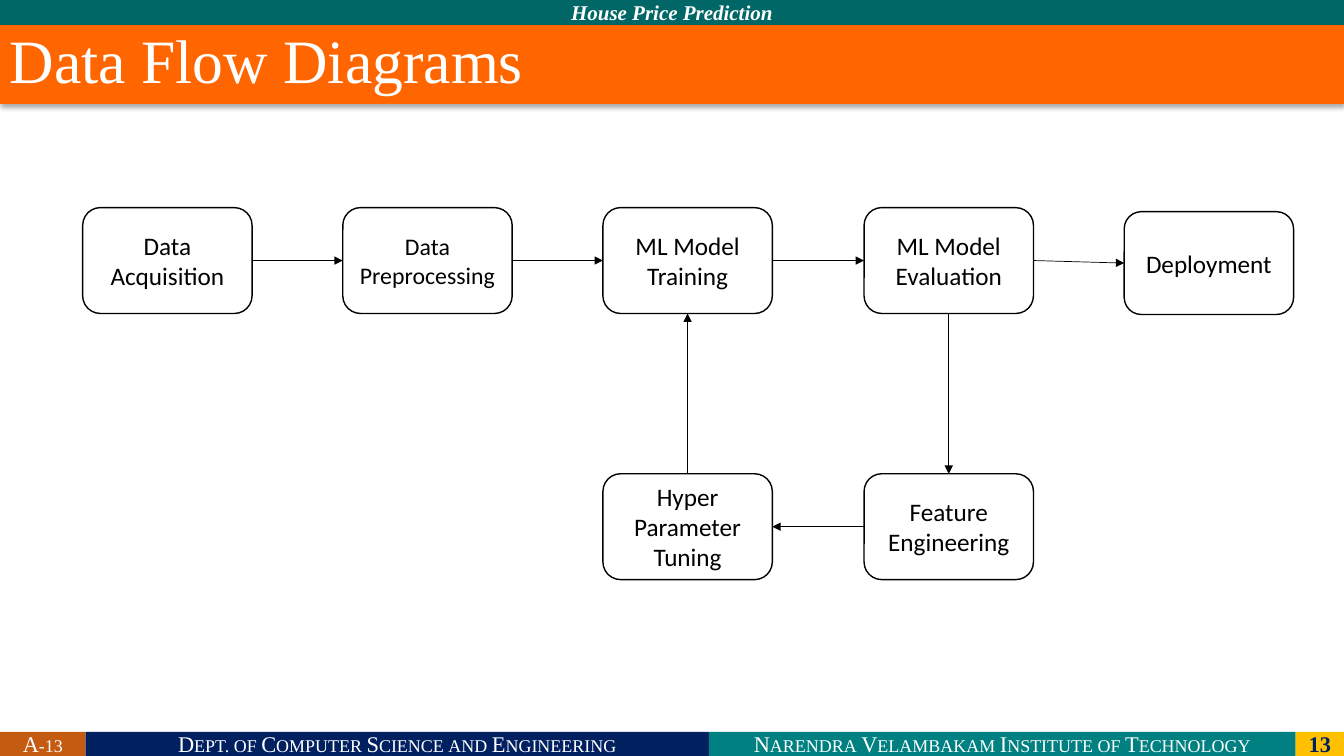
from lxml import etree
from pptx import Presentation
from pptx import util as u
from pptx.dml.color import RGBColor
from pptx.enum import shapes, text
from pptx.oxml import ns

WHITE = RGBColor(0xFF, 0xFF, 0xFF)
BLACK = RGBColor(0x00, 0x00, 0x00)
NAVY = RGBColor(0x00, 0x20, 0x60)
TEAL = RGBColor(0x00, 0x80, 0x80)
PINE = RGBColor(0x00, 0x66, 0x66)
GOLD = RGBColor(0xFF, 0xC0, 0x00)
RUST = RGBColor(0xC5, 0x5A, 0x11)
ORANGE = RGBColor(0xFF, 0x66, 0x00)

PX = 9144
WIDE, HIGH = 1333, 750
TOP, LEFT, BOTTOM, RIGHT = range(4)
SERIF, SANS = "Times New Roman", "Calibri"

BARS = [
    ("A-13", 0, 85, RUST),
    ("Dept. of Computer Science and Engineering", 85, 618, NAVY),
    ("Narendra Velambakam Institute of Technology", 703, 582, TEAL),
]
NODES = [
    ("Data Acquisition", 0, 206, 105, 18),
    ("Data Preprocessing", 1, 206, 105, 17),
    ("ML Model Training", 2, 206, 105, 18),
    ("ML Model Evaluation", 3, 206, 105, 18),
    ("Deployment", 4, 210, 102, 18),
    ("Hyper Parameter Tuning", 2, 470, 105, 18),
    ("Feature Engineering", 3, 470, 105, 18),
]
LINKS = [(i, RIGHT, i + 1, LEFT) for i in range(4)] + [
    (3, BOTTOM, 6, TOP),
    (6, LEFT, 5, RIGHT),
    (5, TOP, 2, BOTTOM),
]


class Deck:
    """Holds the style and the current slide."""

    def __init__(self):
        self.prs = Presentation()
        self.prs.slide_width = u.Emu(WIDE * PX)
        self.prs.slide_height = u.Emu(HIGH * PX)
        self.slide = self.prs.slides.add_slide(self.prs.slide_layouts[6])

    def shape(self, kind, box, fill, words, size, face, color):
        item = self.slide.shapes.add_shape(kind, *[u.Emu(n * PX) for n in box])
        item.shadow.inherit = False
        item.fill.solid()
        item.fill.fore_color.rgb = fill
        item.line.fill.background()
        frame = item.text_frame
        frame.text = words
        frame.word_wrap = True
        frame.vertical_anchor = text.MSO_ANCHOR.MIDDLE
        para = frame.paragraphs[0]
        para.alignment = text.PP_ALIGN.CENTER
        font = para.runs[0].font
        font.name = face
        font.size = u.Pt(size)
        font.color.rgb = color
        return item

    def bar(self, words, box, fill, size=16, color=WHITE, bold=False, slant=False, caps=False):
        item = self.shape(shapes.MSO_SHAPE.RECTANGLE, box, fill, words, size, SERIF, color)
        run = item.text_frame.paragraphs[0].runs[0]
        run.font.bold = bold
        run.font.italic = slant
        if caps:
            run.font._element.set("cap", "small")
        return item

    def title(self, words, box):
        item = self.bar(words, box, ORANGE, 44)
        item.text_frame.vertical_anchor = text.MSO_ANCHOR.TOP
        para = item.text_frame.paragraphs[0]
        para.alignment = text.PP_ALIGN.LEFT
        para.line_spacing = 0.9
        glow = item._element.spPr.find(ns.qn("a:effectLst"))
        shade = etree.SubElement(glow, ns.qn("a:outerShdw"), blurRad=str(u.Pt(3.5)),
                                 dist=str(u.Pt(2.2)), dir="5400000", rotWithShape="0")
        tint = etree.SubElement(shade, ns.qn("a:srgbClr"), val=str(BLACK))
        etree.SubElement(tint, ns.qn("a:alpha"), val="32000")

    def node(self, words, col, top, high, size):
        box = (82 + round(258.25 * col), top, 168, high)
        item = self.shape(shapes.MSO_SHAPE.ROUNDED_RECTANGLE, box, WHITE, words, size, SANS, BLACK)
        item.line.color.rgb = BLACK
        item.line.width = u.Pt(1)
        return item

    def arrow(self, start, out, end, into):
        item = self.slide.shapes.add_connector(shapes.MSO_CONNECTOR.STRAIGHT, 0, 0, 0, 0)
        item.begin_connect(start, out)
        item.end_connect(end, into)
        item.line.color.rgb = BLACK
        item.line.width = u.Pt(0.5)
        props = item._element.spPr
        etree.SubElement(props.find(ns.qn("a:ln")), ns.qn("a:tailEnd"), type="triangle")
        etree.SubElement(props, ns.qn("a:effectLst"))


def main():
    deck = Deck()
    for words, left, wide, fill in BARS:
        deck.bar(words, (left, 726, wide, 24), fill, caps=True)
    deck.bar("13", (1285, 726, 48, 24), GOLD, color=NAVY, bold=True)
    deck.bar("House Price Prediction", (0, 0, WIDE, 25), PINE, 15, bold=True, slant=True)
    deck.title("Data Flow Diagrams", (0, 25, WIDE, 78))
    nodes = [deck.node(*row) for row in NODES]
    for start, out, end, into in LINKS:
        deck.arrow(nodes[start], out, nodes[end], into)
    deck.prs.save("out.pptx")


if __name__ == "__main__":
    main()
